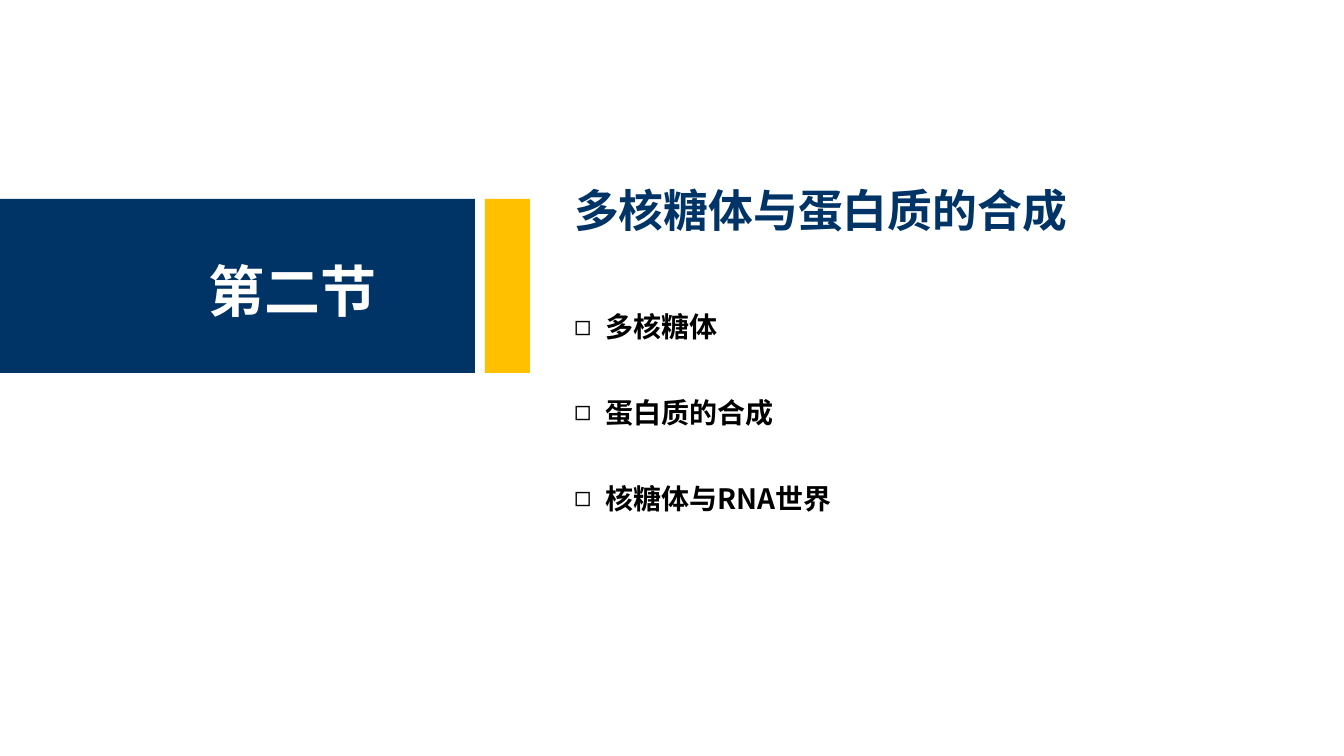
from dataclasses import dataclass

from lxml.etree import SubElement
from pptx import Presentation
from pptx.dml.color import RGBColor
from pptx.enum.shapes import MSO_SHAPE
from pptx.enum.text import MSO_ANCHOR, MSO_AUTO_SIZE, PP_ALIGN
from pptx.oxml.ns import qn
from pptx.util import Emu, Pt

SLIDE_WIDTH, SLIDE_HEIGHT = 1344, 756
EMU_PER_SLIDE_WIDTH = 12192000


@dataclass(frozen=True)
class Theme:
    """Colours, type sizes and font of the section slide."""
    font: str = "Noto Sans CJK SC"
    navy: str = "003366"
    gold: str = "FFC000"
    white: str = "FFFFFF"
    black: str = "000000"
    number_size: int = 40
    title_size: int = 32
    item_size: int = 20
    line_ratio: float = 1.22


def px(length):
    """Turn whole pixels into EMU."""
    return Emu(round(length * EMU_PER_SLIDE_WIDTH / SLIDE_WIDTH))


def write(paragraph, text, *, theme, size, color, space_before=0, bullet=None, indent=0):
    """Fill a paragraph with one bold run in the given format."""
    properties = paragraph._p.get_or_add_pPr()
    if bullet:
        properties.set("marL", str(px(indent)))
        properties.set("indent", str(-px(indent)))
        SubElement(properties, qn("a:buChar"), char=bullet)
    paragraph.alignment = PP_ALIGN.LEFT
    paragraph.line_spacing = Pt(round(size * theme.line_ratio, 1))
    paragraph.space_before = Pt(space_before)
    run = paragraph.add_run()
    run.text = text
    run.font.size = Pt(size)
    run.font.bold = True
    run.font.color.rgb = RGBColor.from_string(color)
    run.font.name = theme.font
    SubElement(run._r.get_or_add_rPr(), qn("a:ea"), typeface=theme.font)


class SectionSlide:
    """Holds the theme and the slide, and adds each kind of element."""

    def __init__(self, presentation, theme):
        """Add a title and content slide."""
        self.theme = theme
        self.slide = presentation.slides.add_slide(presentation.slide_layouts[1])

    def place(self, shape, left, top, width, height, top_inset, wrap=True):
        """Position a text shape and return its prepared frame."""
        shape.left, shape.top = px(left), px(top)
        shape.width, shape.height = px(width), px(height)
        frame = shape.text_frame
        frame.auto_size = MSO_AUTO_SIZE.NONE
        frame.word_wrap = wrap
        frame.vertical_anchor = MSO_ANCHOR.TOP
        frame.margin_top = px(top_inset)
        return frame

    def block(self, left, top, width, height, color):
        """Add a plain filled rectangle."""
        shape = self.slide.shapes.add_shape(
            MSO_SHAPE.RECTANGLE, px(left), px(top), px(width), px(height))
        shape.shadow.inherit = False
        shape.fill.solid()
        shape.fill.fore_color.rgb = RGBColor.from_string(color)
        shape.line.fill.background()

    def number(self, text, left, top, width, height):
        """Add the section number."""
        shape = self.slide.shapes.add_textbox(0, 0, 0, 0)
        frame = self.place(shape, left, top, width, height, 10, wrap=False)
        write(frame.paragraphs[0], text, theme=self.theme,
              size=self.theme.number_size, color=self.theme.white)

    def title(self, text, left, top, width, height):
        """Fill the title placeholder."""
        frame = self.place(self.slide.shapes.title, left, top, width, height, 9)
        write(frame.paragraphs[0], text, theme=self.theme,
              size=self.theme.title_size, color=self.theme.navy)

    def bullets(self, items, left, top, width, height):
        """Fill the body placeholder with a list."""
        frame = self.place(self.slide.placeholders[1], left, top, width, height, 8)
        for index, item in enumerate(items):
            paragraph = frame.add_paragraph() if index else frame.paragraphs[0]
            write(paragraph, item, theme=self.theme, size=self.theme.item_size,
                  color=self.theme.black, space_before=37 if index else 0,
                  bullet="◻", indent=31)


def main():
    """Build and save the section slide."""
    presentation = Presentation()
    presentation.slide_width = px(SLIDE_WIDTH)
    presentation.slide_height = px(SLIDE_HEIGHT)
    theme = Theme()
    section = SectionSlide(presentation, theme)
    section.block(0, 199, 475, 174, theme.navy)
    section.block(485, 199, 45, 174, theme.gold)
    section.number("第二节", 199, 245, 190, 78)
    section.title("多核糖体与蛋白质的合成", 564, 173, 564, 65)
    section.bullets(["多核糖体", "蛋白质的合成", "核糖体与RNA世界"], 564, 301, 287, 251)
    presentation.save("out.pptx")


if __name__ == "__main__":
    main()
